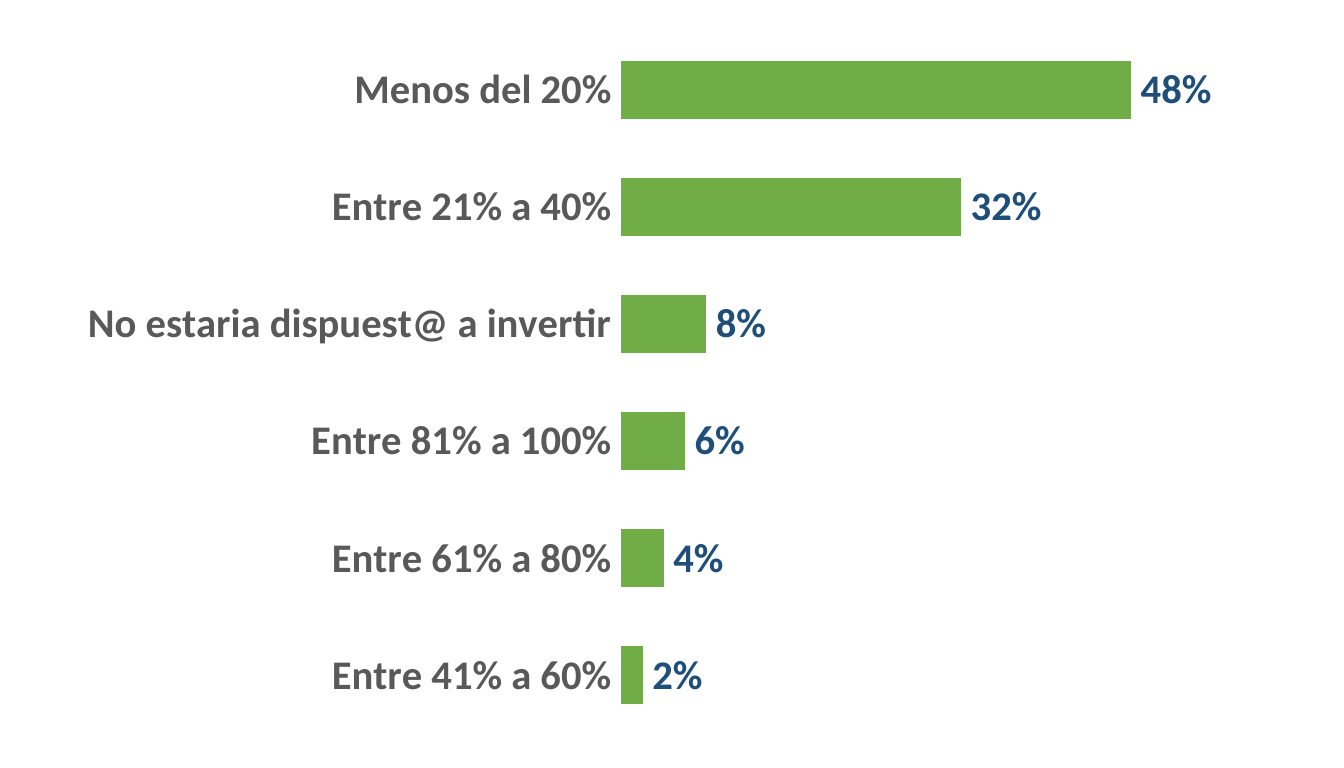
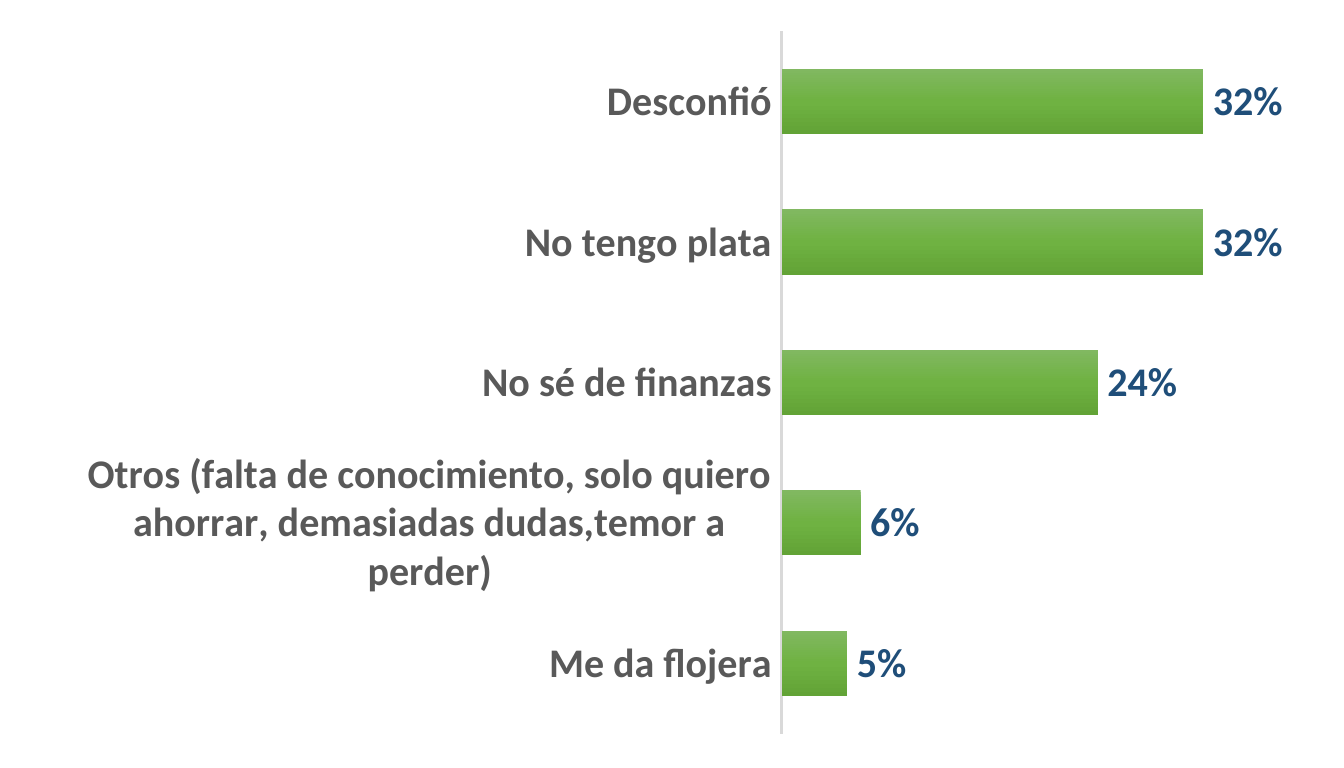
from copy import deepcopy

from pptx import Presentation
from pptx.chart.data import CategoryChartData
from pptx.dml.color import RGBColor
from pptx.enum.chart import XL_CHART_TYPE, XL_LABEL_POSITION, XL_TICK_MARK
from pptx.oxml.ns import qn
from pptx.util import Pt

BLACK = RGBColor(0x00, 0x00, 0x00)
GREY = RGBColor(0x59, 0x59, 0x59)
LIGHT_GREY = RGBColor(0xD9, 0xD9, 0xD9)
NAVY = RGBColor(0x1F, 0x4E, 0x79)
GREEN = RGBColor(0x70, 0xAD, 0x47)
GREEN_SHADES = (
    RGBColor(0x81, 0xB8, 0x61),
    RGBColor(0x6F, 0xB2, 0x42),
    RGBColor(0x62, 0xA3, 0x36),
)

INVESTMENT_SHARES = {
    "Entre 41% a 60%": 0.02,
    "Entre 61% a 80%": 0.04,
    "Entre 81% a 100%": 0.06,
    "No estaria dispuest@ a invertir": 0.08,
    "Entre 21% a 40%": 0.32,
    "Menos del 20%": 0.48,
}
REASONS = {
    "Me da flojera": 0.05,
    "Otros (falta de conocimiento, solo quiero ahorrar, "
    "demasiadas dudas,temor a perder)": 0.06,
    "No sé de finanzas": 0.24,
    "No tengo plata": 0.32,
    "Desconfió": 0.32,
}


class SurveyDeck:
    """Holds the shared style and the current slide."""

    font_name = "Calibri"
    percent = "0%"

    def __init__(self):
        """Start an empty deck of the survey's size."""
        self.deck = Presentation()
        self.deck.slide_width = Pt(396.7)
        self.deck.slide_height = Pt(226.8)
        self.slide = None

    def add_slide(self):
        """Add a blank slide and make it current."""
        self.slide = self.deck.slides.add_slide(self.deck.slide_layouts[6])

    def style_font(self, font, size, color, bold):
        """Apply the deck's typeface with a size, colour and weight."""
        font.name = self.font_name
        font.size = Pt(size)
        font.color.rgb = color
        font.bold = bold

    def add_bars(self, answers, axis_maximum, gap, overlap=0):
        """Add a bar chart of answer shares and return it."""
        shares = CategoryChartData(number_format=self.percent)
        shares.categories = list(answers)
        shares.add_series("Series 1", list(answers.values()))
        chart = self.slide.shapes.add_chart(
            XL_CHART_TYPE.BAR_CLUSTERED,
            Pt(18.7), Pt(5), Pt(360), Pt(216), shares,
        ).chart
        chart.has_title = False
        chart.has_legend = False
        self.style_font(chart.font, 10, BLACK, False)

        bars = chart.plots[0]
        bars.vary_by_categories = False
        bars.gap_width = gap
        bars.overlap = overlap
        self.style_axes(chart, axis_maximum)
        self.label_bars(bars)
        return chart

    def style_axes(self, chart, maximum):
        """Show only the answers beside the bars."""
        answer_axis = chart.category_axis
        answer_axis.major_tick_mark = XL_TICK_MARK.NONE
        answer_axis.minor_tick_mark = XL_TICK_MARK.NONE
        answer_axis.has_major_gridlines = False
        answer_axis.format.line.fill.background()
        self.style_font(answer_axis.tick_labels.font, 12, GREY, True)

        share_axis = chart.value_axis
        share_axis.minimum_scale = 0
        share_axis.maximum_scale = maximum
        share_axis.has_major_gridlines = False
        share_axis.tick_labels.number_format = self.percent
        share_axis.tick_labels.number_format_is_linked = False
        share_axis.visible = False

    def label_bars(self, bars):
        """Write each share at the end of its bar."""
        bars.has_data_labels = True
        labels = bars.data_labels
        labels.show_value = True
        labels.number_format = self.percent
        labels.number_format_is_linked = False
        labels.position = XL_LABEL_POSITION.OUTSIDE_END
        self.style_font(labels.font, 12, NAVY, True)

    def fill_plain(self, chart, color):
        """Fill the bars with one colour."""
        fill = chart.series[0].format.fill
        fill.solid()
        fill.fore_color.rgb = color

    def fill_shaded(self, chart, colors):
        """Fill the bars from top to bottom with three even stops."""
        series = chart.series[0]
        fill = series.format.fill
        fill.gradient()
        fill.gradient_angle = 270
        first_stop = next(series._element.iter(qn("a:gs")))
        first_stop.addnext(deepcopy(first_stop))
        for index, (stop, color) in enumerate(zip(fill.gradient_stops, colors)):
            stop.position = index / (len(colors) - 1)
            stop.color.rgb = color

    def draw_baseline(self, chart, color):
        """Show the line from which the bars start."""
        baseline = chart.category_axis.format.line
        baseline.color.rgb = color
        baseline.width = Pt(1)

    def save(self):
        """Write the finished deck."""
        self.deck.save("out.pptx")


def main():
    """Build both survey slides."""
    survey = SurveyDeck()

    survey.add_slide()
    investment = survey.add_bars(INVESTMENT_SHARES, axis_maximum=0.6, gap=100)
    survey.fill_plain(investment, GREEN)

    survey.add_slide()
    reasons = survey.add_bars(REASONS, axis_maximum=0.35, gap=115, overlap=-20)
    survey.fill_shaded(reasons, GREEN_SHADES)
    survey.draw_baseline(reasons, LIGHT_GREY)

    survey.save()


main()
